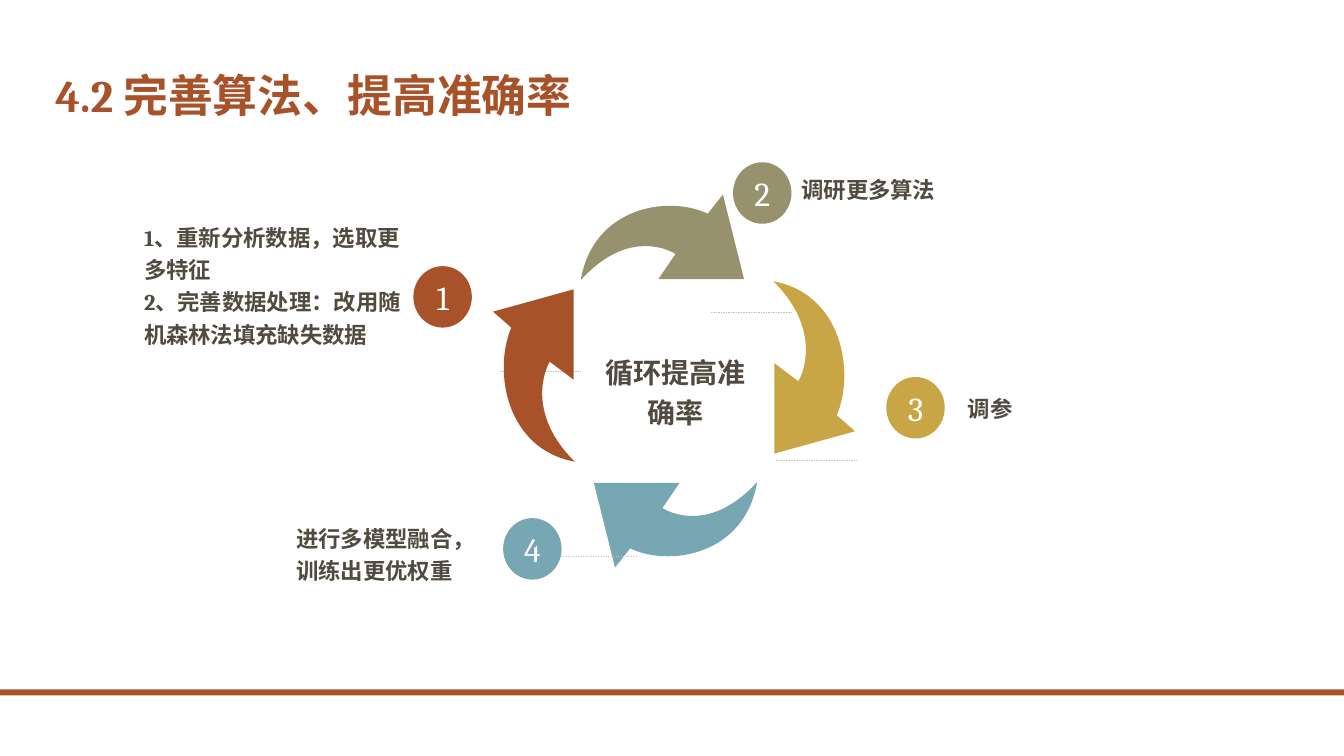
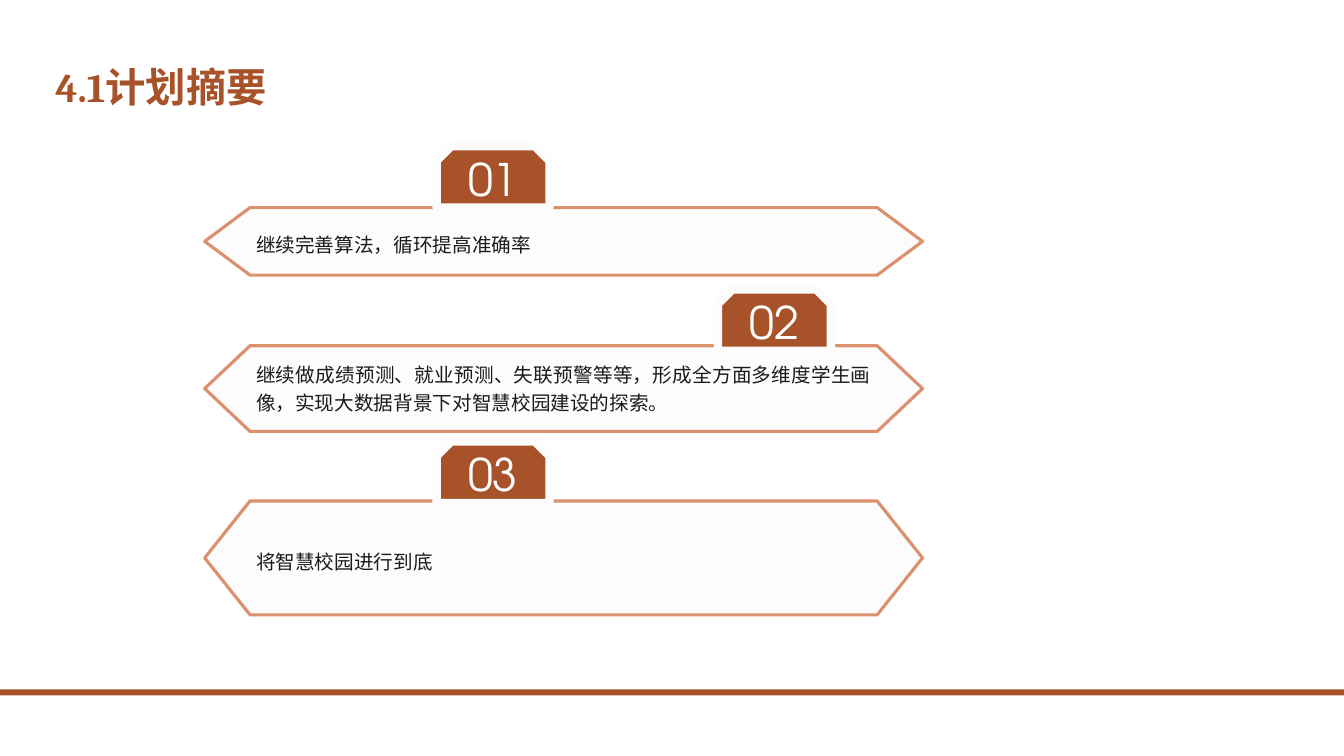
from lxml import etree
from pptx import Presentation
from pptx.dml.color import RGBColor
from pptx.enum.dml import MSO_LINE
from pptx.enum.shapes import MSO_CONNECTOR, MSO_SHAPE
from pptx.enum.text import MSO_ANCHOR, MSO_AUTO_SIZE, PP_ALIGN
from pptx.oxml.ns import qn
from pptx.util import Inches, Pt

RUST = RGBColor(0xA8, 0x52, 0x29)
OLIVE = RGBColor(0x98, 0x91, 0x6E)
GOLD = RGBColor(0xC9, 0xA6, 0x45)
TEAL = RGBColor(0x76, 0xA7, 0xB2)
PEACH = RGBColor(0xDC, 0x91, 0x6E)
GREY = RGBColor(0xC2, 0xC2, 0xC2)
BROWN = RGBColor(0x51, 0x4A, 0x40)
INK = RGBColor(0x1B, 0x1B, 0x1B)
PALE = RGBColor(0xFC, 0xFC, 0xFC)
WHITE = RGBColor(0xFF, 0xFF, 0xFF)

SERIF, SANS = "Cambria", "TeX Gyre Adventor"
LEFT, MID, JUST = PP_ALIGN.LEFT, PP_ALIGN.CENTER, PP_ALIGN.JUSTIFY
CENTRE, BOTTOM = MSO_ANCHOR.MIDDLE, MSO_ANCHOR.BOTTOM
FIXED = MSO_AUTO_SIZE.NONE
RECT, OVAL = MSO_SHAPE.RECTANGLE, MSO_SHAPE.OVAL
SNIP = MSO_SHAPE.SNIP_2_SAME_RECTANGLE
STRAIGHT, DASH = MSO_CONNECTOR.STRAIGHT, MSO_LINE.DASH

# Arrow outline: corners, then two curves of three points each
WIDE, HIGH = 1.62, 0.85
TIP = [(1.41, 0), (1.62, 0.84), (0.77, 0.84), (0.94, 0.59)]
BOW = [(0.83, 0.52), (0.43, 0.37), (0, 0.85),
       (0.12, 0.13), (0.86, 0), (1.26, 0.19)]

# Ring: arrow box before turning, turn, colour
RING = [
    ((5.76, 1.93, 1.62, 0.85), 0, OLIVE),
    ((7.22, 3.24, 1.71, 0.81), 90, GOLD),
    ((5.89, 4.78, 1.62, 0.85), 180, TEAL),
    ((4.44, 3.32, 1.71, 0.81), 270, RUST),
]

# Cycle steps: number, colour, circle place, text box, wording
STEPS = [
    ("1", RUST, (4.1, 2.64), (1.33, 2.31, 2.79, 1),
     "1、重新分析数据，选取更多特征\n2、完善数据处理：改用随机森林法填充缺失数据"),
    ("2", OLIVE, (7.27, 1.61), (7.85, 1.33, 2.1, 1.04), "调研更多算法"),
    ("3", GOLD, (8.79, 3.74), (9.5, 3.51, 2.1, 1.03), "调参"),
    ("4", TEAL, (4.99, 5.14), (2.84, 4.96, 1.84, 1.03),
     "进行多模型融合，训练出更优权重"),
]

# Plan bars: top, height, tag left, tag top, line spacing, foot, wording
PLANS = [
    (2.06, 0.67, 4.33, 1.45, 1.3, 0, "继续完善算法，循环提高准确率"),
    (3.43, 0.85, 7.12, 2.87, 1.2, 0.04,
     "继续做成绩预测、就业预测、失联预警等等，形成全方面多维度学生画像，"
     "实现大数据背景下对智慧校园建设的探索。"),
    (4.97, 1.13, 4.33, 4.38, 1.3, 0, "将智慧校园进行到底"),
]


def inch(box):
    return [Inches(n) for n in box]


def write(shape, text, size, color, bold=False, font=SERIF, align=LEFT,
          space=1.0, pad=(0.1, 0.05, 0.1, 0.05), anchor=CENTRE):
    frame = shape.text_frame
    frame.text = text
    frame.word_wrap = True
    frame.auto_size = FIXED
    frame.vertical_anchor = anchor
    (frame.margin_left, frame.margin_top,
     frame.margin_right, frame.margin_bottom) = inch(pad)
    for para in frame.paragraphs:
        para.alignment = align
        para.line_spacing = space
        for run in para.runs:
            run.font.name = font
            run.font.size = Pt(size)
            run.font.bold = bold
            run.font.color.rgb = color


def paint(shape, fill, line=None, width=0):
    shape.shadow.inherit = False
    shape.fill.solid()
    shape.fill.fore_color.rgb = fill
    if line is None:
        shape.line.fill.background()
    else:
        shape.line.color.rgb = line
        shape.line.width = Pt(width)


def block(slide, kind, box, fill, line=None, width=0):
    shape = slide.shapes.add_shape(kind, *inch(box))
    paint(shape, fill, line, width)
    return shape


def outline(slide, spots, fill, line=None, width=0):
    spots = [inch(spot) for spot in spots]
    pen = slide.shapes.build_freeform(*spots[0])
    pen.add_line_segments(spots[1:], close=True)
    shape = pen.convert_to_shape()
    paint(shape, fill, line, width)
    return shape


def label(slide, box, text, size, align=LEFT):
    shape = slide.shapes.add_textbox(*inch(box))
    write(shape, text, size, BROWN, bold=True, align=align, space=1.2)


def begin(deck, text, box, size):
    """Add a slide with its title."""
    slide = deck.slides.add_slide(deck.slide_layouts[5])
    title = slide.shapes.title
    title.left, title.top, title.width, title.height = inch(box)
    write(title, text, size, RUST, bold=True, space=0.9, anchor=BOTTOM)
    return slide


def arrow(slide, box, turn, fill):
    """Draw the bent arrow in its box, then turn it."""
    left, top, wide, high = box
    spots = [(left + x * wide / WIDE, top + y * high / HIGH)
             for x, y in TIP + BOW]
    shape = outline(slide, spots, fill)
    # Join each three points after the corners into one curve
    legs = list(shape.element.iter(qn("a:lnTo")))[len(TIP) - 1:]
    for i in range(0, len(BOW), 3):
        curve = etree.Element(qn("a:cubicBezTo"))
        legs[i].addprevious(curve)
        for leg in legs[i:i + 3]:
            curve.append(leg[0])
            leg.getparent().remove(leg)
    shape.rotation = turn


def guide(slide, x, y):
    line = slide.shapes.add_connector(STRAIGHT, *inch((x, y, x + 0.8, y)))
    line.line.color.rgb = GREY
    line.line.width = Pt(0.25)
    line.line.dash_style = DASH
    etree.SubElement(line.element.spPr, qn("a:effectLst"))


def cycle(slide):
    # Guides behind the ring, the ring, and the guide in front
    for x, y in ((7.05, 3.1), (7.7, 4.57), (4.96, 3.68)):
        guide(slide, x, y)
    for part in RING:
        arrow(slide, *part)
    guide(slide, 5.51, 5.52)
    # Numbered steps
    for num, color, spot, box, text in STEPS:
        disc = block(slide, OVAL, (*spot, 0.58, 0.61), color)
        write(disc, num, 24, WHITE, align=MID, pad=(0, 0, 0, 0))
        label(slide, box, text, 16)
    label(slide, (5.78, 2.95, 1.84, 1.82), "循环提高准确率", 20, MID)


def plan(slide, num, top, high, tag_x, tag_y, space, foot, text):
    # Pointed bar
    left, right, tip = 2.03, 9.15, 0.45
    mid, base = top + high / 2, top + high
    spots = [(left + tip, top), (right - tip, top), (right, mid),
             (right - tip, base), (left + tip, base), (left, mid)]
    bar = outline(slide, spots, PALE, PEACH, 2.25)
    write(bar, text, 14, INK, align=JUST, space=space,
          pad=(0.51, 0, 0.51, foot))
    # Number tag
    tag = block(slide, SNIP, (tag_x, tag_y, 1.12, 0.61), RUST, PALE, 6)
    tag.adjustments[0] = 0.24
    tag.adjustments[1] = 0
    write(tag, f"{num:02}", 32, WHITE, font=SANS, align=MID,
          pad=(0.1, 0, 0.1, 0.05))


def main():
    deck = Presentation()
    deck.slide_width, deck.slide_height = inch((13.33, 7.5))

    first = begin(deck, "4.2 完善算法、提高准确率",
                  (0.45, 0.5, 10.5, 0.76), 32)
    # Bottom band, kept on the layout that both slides use
    band = block(first, RECT, (0, 6.84, 13.33, 0.06), RUST)
    first.slide_layout.shapes.element.append(band.element)
    cycle(first)

    second = begin(deck, "4.1计划摘要", (0.45, 0.59, 10.5, 0.56), 28.8)
    for num, row in enumerate(PLANS, 1):
        plan(second, num, *row)

    deck.save("out.pptx")


if __name__ == "__main__":
    main()
